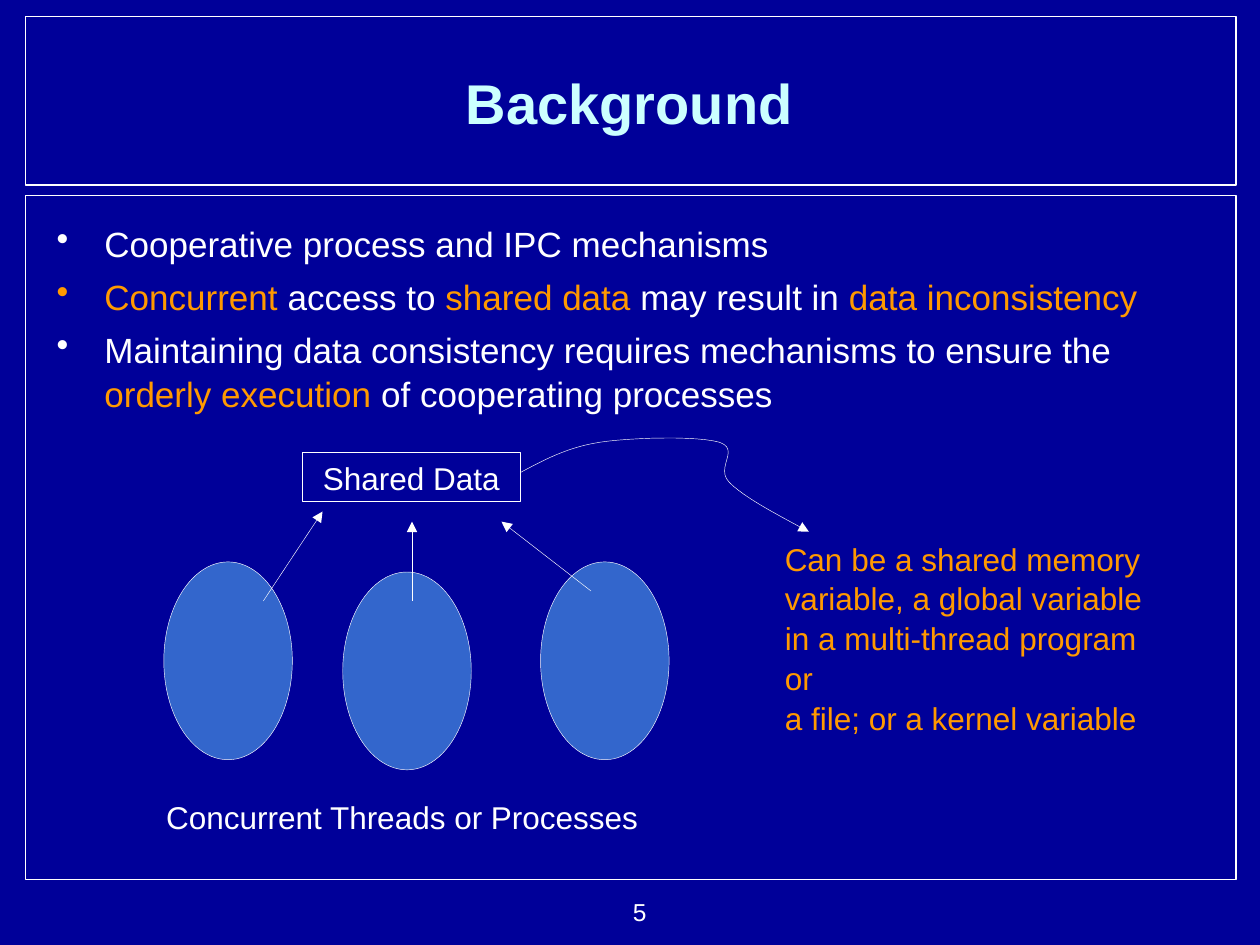
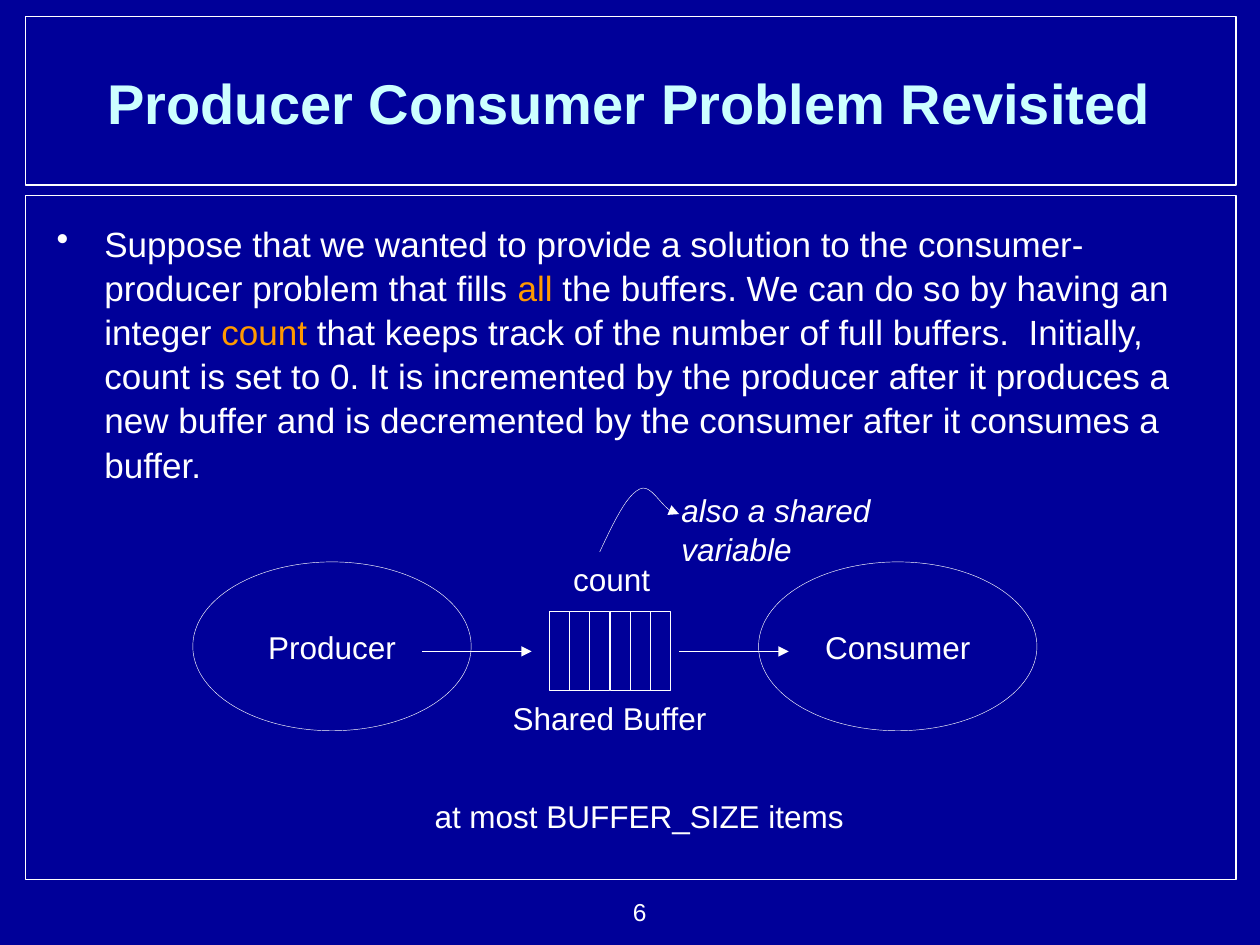
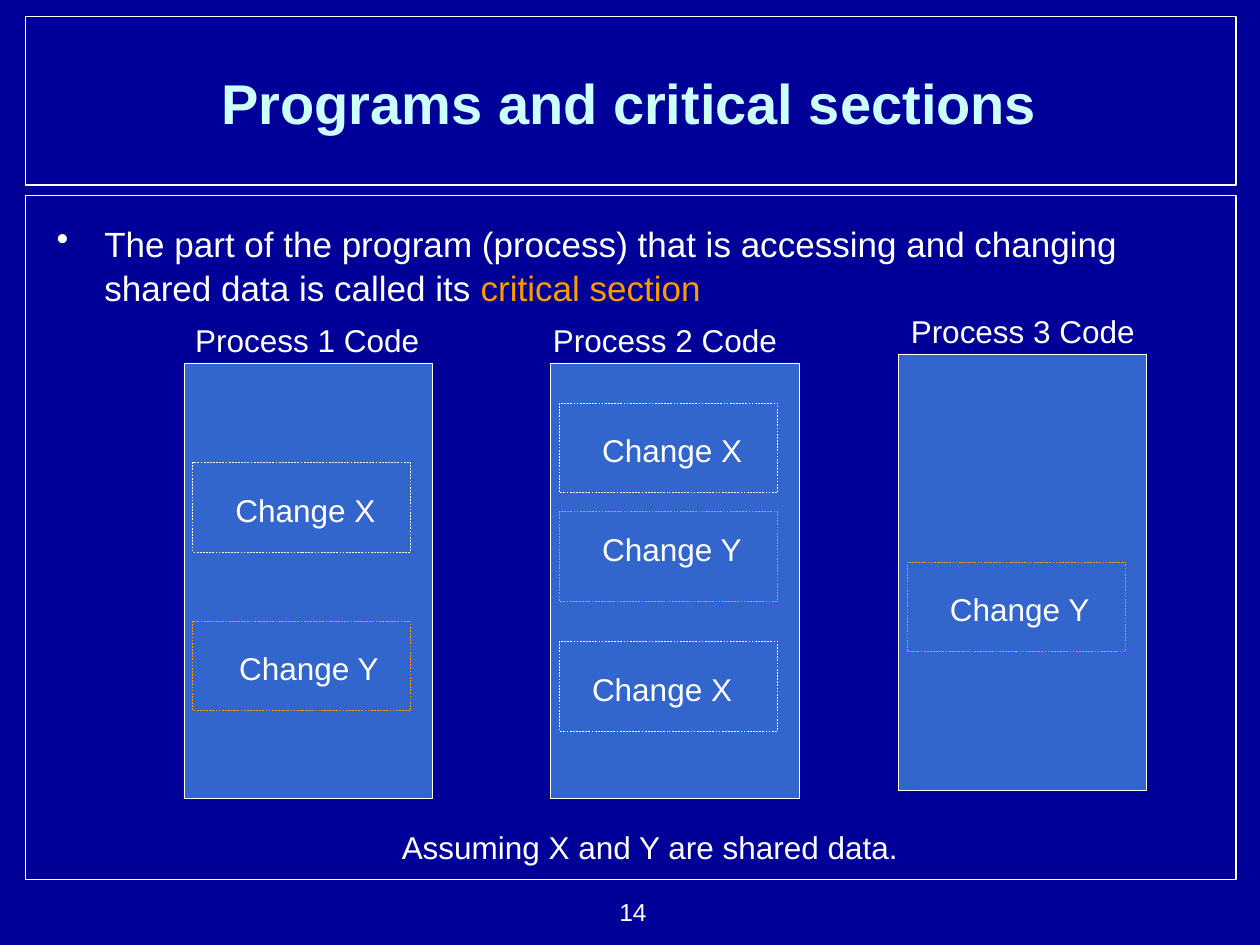
from dataclasses import dataclass

from lxml import etree
from pptx import Presentation
from pptx.dml.color import RGBColor
from pptx.enum.dml import MSO_LINE
from pptx.enum.shapes import MSO_CONNECTOR, MSO_SHAPE
from pptx.enum.text import MSO_ANCHOR, MSO_AUTO_SIZE, PP_ALIGN
from pptx.oxml.ns import qn
from pptx.util import Inches, Pt

NAVY = RGBColor(0x00, 0x00, 0x99)
BLUE = RGBColor(0x33, 0x66, 0xCC)
WHITE = RGBColor(0xFF, 0xFF, 0xFF)
PALE_CYAN = RGBColor(0xCC, 0xFF, 0xFF)
ORANGE = RGBColor(0xFF, 0x99, 0x00)

FONT = "Arial"
LINE_SPACING = 1.05
HAIRLINE = 0.25
CURVE_STEPS = 12


@dataclass
class Box:
    """A region in inches; parts are placed from its top left corner."""
    left: float
    top: float
    width: float
    height: float

    def inner(self, dx, dy, width, height):
        return Box(self.left + dx, self.top + dy, width, height)

    def point(self, dx, dy):
        return Inches(self.left + dx), Inches(self.top + dy)

    def emu(self):
        return [Inches(n) for n in (self.left, self.top, self.width, self.height)]


TITLE_BAND = Box(0.2, 0.13, 9.61, 1.34)
BODY_BAND = Box(0.2, 1.55, 9.61, 5.43)
PAGE_NUMBER = Box(4.19, 7.06, 1.04, 0.34)


# Shared building blocks
def style_font(font, size, color, bold=False, italic=False):
    font.name, font.size = FONT, Pt(size)
    font.bold, font.italic = bold, italic
    font.color.rgb = color


def fill_text(frame, text, size, color=WHITE, align=PP_ALIGN.LEFT, **style):
    frame.text = text
    for paragraph in frame.paragraphs:
        paragraph.alignment = align
        paragraph.line_spacing = LINE_SPACING
        for run in paragraph.runs:
            style_font(run.font, size, color, **style)


def add_label(slide, box, text, color=WHITE, **style):
    frame = slide.shapes.add_textbox(*box.emu()).text_frame
    frame.word_wrap = False
    frame.auto_size = MSO_AUTO_SIZE.SHAPE_TO_FIT_TEXT
    fill_text(frame, text, 18, color, **style)


def add_outline(slide, kind, box, fill=None, line=WHITE, width=HAIRLINE,
                dash=None, text=None):
    shape = slide.shapes.add_shape(kind, *box.emu())
    shape.shadow.inherit = False
    if fill is None:
        shape.fill.background()
    else:
        shape.fill.solid()
        shape.fill.fore_color.rgb = fill
    shape.line.color.rgb = line
    shape.line.width = Pt(width)
    if dash:
        shape.line.dash_style = dash
    if text:
        frame = shape.text_frame
        frame.word_wrap = False
        frame.vertical_anchor = MSO_ANCHOR.MIDDLE
        fill_text(frame, text, 18, align=PP_ALIGN.CENTER)


def style_arrow(arrow):
    arrow.line.color.rgb = WHITE
    arrow.line.width = Pt(HAIRLINE)
    etree.SubElement(arrow.line._get_or_add_ln(), qn("a:tailEnd"), type="triangle")


def add_arrow(slide, box, start, end):
    arrow = slide.shapes.add_connector(
        MSO_CONNECTOR.STRAIGHT, *box.point(*start), *box.point(*end))
    style_arrow(arrow)
    etree.SubElement(arrow._element.spPr, qn("a:effectLst"))


def bezier(p0, p1, p2, p3, t):
    u = 1 - t
    return tuple(u**3 * a + 3 * u**2 * t * b + 3 * u * t**2 * c + t**3 * d
                 for a, b, c, d in zip(p0, p1, p2, p3))


def add_curved_arrow(slide, box, knots):
    """Knots are a start point, then two controls and an end per segment."""
    curve = [bezier(*knots[i:i + 4], step / CURVE_STEPS)
             for i in range(0, len(knots) - 1, 3)
             for step in range(1, CURVE_STEPS + 1)]
    builder = slide.shapes.build_freeform(*box.point(*knots[0]))
    builder.add_line_segments([box.point(*p) for p in curve], close=False)
    arrow = builder.convert_to_shape()
    arrow.shadow.inherit = False
    arrow.fill.background()
    style_arrow(arrow)


# Regions found on every slide
def draw_title(slide, band, title):
    add_outline(slide, MSO_SHAPE.RECTANGLE, band, width=0.75)
    area = band.inner(0.15, 0.04, 9.29, 1.25)
    frame = slide.shapes.add_textbox(*area.emu()).text_frame
    frame.word_wrap = True
    frame.vertical_anchor = MSO_ANCHOR.MIDDLE
    fill_text(frame, title, 32, PALE_CYAN, PP_ALIGN.CENTER, bold=True)


def add_bullet(paragraph, color):
    props = paragraph._p.get_or_add_pPr()
    props.set("marL", str(Inches(0.38)))
    props.set("indent", str(-Inches(0.38)))
    bullet_color = etree.SubElement(props, qn("a:buClr"))
    etree.SubElement(bullet_color, qn("a:srgbClr"), val=str(color))
    etree.SubElement(props, qn("a:buChar"), char="•")


def draw_bullets(slide, band, bullets):
    """Each bullet is a list of pieces; a piece in a tuple is highlighted."""
    add_outline(slide, MSO_SHAPE.RECTANGLE, band, width=0.75)
    area = band.inner(0.15, 0.15, 9.29, 5.12)
    frame = slide.shapes.add_textbox(*area.emu()).text_frame
    frame.word_wrap = True
    for index, pieces in enumerate(bullets):
        paragraph = frame.add_paragraph() if index else frame.paragraphs[0]
        colors = [ORANGE if isinstance(p, tuple) else WHITE for p in pieces]
        add_bullet(paragraph, colors[0])
        paragraph.line_spacing = LINE_SPACING
        if index:
            paragraph.space_before = Pt(5)
        for piece, color in zip(pieces, colors):
            run = paragraph.add_run()
            run.text = "".join(piece)
            style_font(run.font, 20, color)


def draw_page_number(slide, box, number):
    frame = slide.shapes.add_textbox(*box.emu()).text_frame
    frame.word_wrap = True
    fill_text(frame, str(number), 14, align=PP_ALIGN.RIGHT)


def start_slide(deck, title, bullets, number):
    slide = deck.slides.add_slide(deck.slide_layouts[6])
    slide.background.fill.solid()
    slide.background.fill.fore_color.rgb = NAVY
    draw_title(slide, TITLE_BAND, title)
    draw_bullets(slide, BODY_BAND, bullets)
    draw_page_number(slide, PAGE_NUMBER, number)
    return slide


# Threads that reach for the same data
def draw_shared_data(slide, box):
    for dx, dy in ((0.1, 1.06), (1.52, 1.14), (3.09, 1.06)):
        add_outline(slide, MSO_SHAPE.OVAL, box.inner(dx, dy, 1.02, 1.57), BLUE)
    add_outline(slide, MSO_SHAPE.RECTANGLE, box.inner(1.2, 0.19, 1.73, 0.39),
                text="Shared Data")
    for start, end in (((0.89, 1.37), (1.36, 0.66)),
                       ((2.07, 1.37), (2.07, 0.74)),
                       ((3.49, 1.29), (2.78, 0.74))):
        add_arrow(slide, box, start, end)
    add_label(slide, box.inner(0.02, 2.87, 3.95, 0.4),
              "Concurrent Threads or Processes")
    add_curved_arrow(slide, box, [
        (2.93, 0.35), (3.12, 0.25), (3.3, 0.15), (3.56, 0.11),
        (3.83, 0.07), (4.34, 0.06), (4.51, 0.11),
        (4.68, 0.17), (4.47, 0.31), (4.59, 0.43),
        (4.71, 0.55), (4.96, 0.68), (5.22, 0.82)])
    add_label(slide, box.inner(4.93, 0.82, 3.28, 1.3),
              "Can be a shared memory \vvariable, a global variable\n"
              "in a multi-thread program or\va file; or a kernel variable",
              ORANGE)


# Producer, buffer and consumer
def draw_producer_consumer(slide, box):
    cell = 0.16
    for index in range(6):
        add_outline(slide, MSO_SHAPE.RECTANGLE,
                    box.inner(2.86 + index * cell, 1.05, cell, 0.63))
    for dx, role in ((0.03, "Producer"), (4.52, "Consumer")):
        add_outline(slide, MSO_SHAPE.OVAL, box.inner(dx, 0.66, 2.21, 1.34), text=role)
    for dx in (1.85, 3.89):
        add_arrow(slide, box, (dx, 1.37), (dx + 0.87, 1.37))
    add_label(slide, box.inner(2.47, 1.68, 1.74, 0.4), "Shared Buffer")
    add_label(slide, box.inner(2.95, 0.58, 0.81, 0.4), "count")
    add_curved_arrow(slide, box, [
        (3.26, 0.58), (3.37, 0.35), (3.47, 0.13), (3.58, 0.08),
        (3.68, 0.03), (3.77, 0.28), (3.89, 0.28)])
    add_label(slide, box.inner(3.81, 0.03, 2.64, 0.4),
              "also a shared variable", italic=True)
    add_label(slide, box.inner(1.85, 2.46, 3.45, 0.4), "at most BUFFER_SIZE items")


# One process with its critical sections
def draw_process(slide, box, heading, heading_dx, sections):
    add_outline(slide, MSO_SHAPE.RECTANGLE, box, BLUE)
    add_label(slide, box.inner(heading_dx, -0.4, 1.98, 0.4), heading)
    for variable, top, text_dx, text_dy in sections:
        section = box.inner(0.07, top, 1.73, 0.71)
        add_outline(slide, MSO_SHAPE.RECTANGLE, section,
                    line=WHITE if variable == "X" else ORANGE, dash=MSO_LINE.DASH)
        add_label(slide, section.inner(text_dx, text_dy, 1.31, 0.4),
                  f"Change {variable}")


def draw_processes(slide, box):
    processes = (
        (0.01, 0.4, -0.01, [("X", 0.79, 0.24, 0.16), ("Y", 2.05, 0.27, 0.16)]),
        (2.92, 0.4, -0.08, [("X", 0.32, 0.24, 0.16), ("Y", 1.18, 0.24, 0.08),
                            ("X", 2.21, 0.16, 0.16)]),
        (5.68, 0.33, 0, [("Y", 1.65, 0.24, 0.16)]),
    )
    for number, (dx, dy, heading_dx, sections) in enumerate(processes, 1):
        draw_process(slide, box.inner(dx, dy, 1.97, 3.46),
                     f"Process {number} Code", heading_dx, sections)
    add_label(slide, box.inner(1.64, 4.03, 4.21, 0.4),
              "Assuming X and Y are shared data.")


def main():
    deck = Presentation()
    deck.slide_width, deck.slide_height = Inches(10), Inches(7.5)

    background = start_slide(deck, "Background", [
        ["Cooperative process and IPC mechanisms"],
        [("Concurrent",), " access to ", ("shared data",), " may result in ",
         ("data inconsistency",)],
        ["Maintaining data consistency requires mechanisms to ensure the ",
         ("orderly execution",), " of cooperating processes"],
    ], 5)
    draw_shared_data(background, Box(1.2, 3.4, 8.21, 3.27))

    revisited = start_slide(deck, "Producer Consumer Problem Revisited", [
        ["Suppose that we wanted to provide a solution to the consumer-producer "
         "problem that fills ", ("all ",),
         "the buffers. We can do so by having an integer ", ("count",),
         " that keeps track of the number of full buffers.  Initially, count is "
         "set to 0. It is incremented by the producer after it produces a new "
         "buffer and is decremented by the consumer after it consumes a buffer."],
    ], 6)
    draw_producer_consumer(revisited, Box(1.5, 3.8, 6.73, 2.86))

    sections = start_slide(deck, "Programs and critical sections", [
        ["The part of the program (process) that is accessing and changing "
         "shared data is called its ", ("critical section",)],
    ], 14)
    draw_processes(sections, Box(1.45, 2.48, 7.66, 4.43))

    deck.save("out.pptx")


if __name__ == "__main__":
    main()
